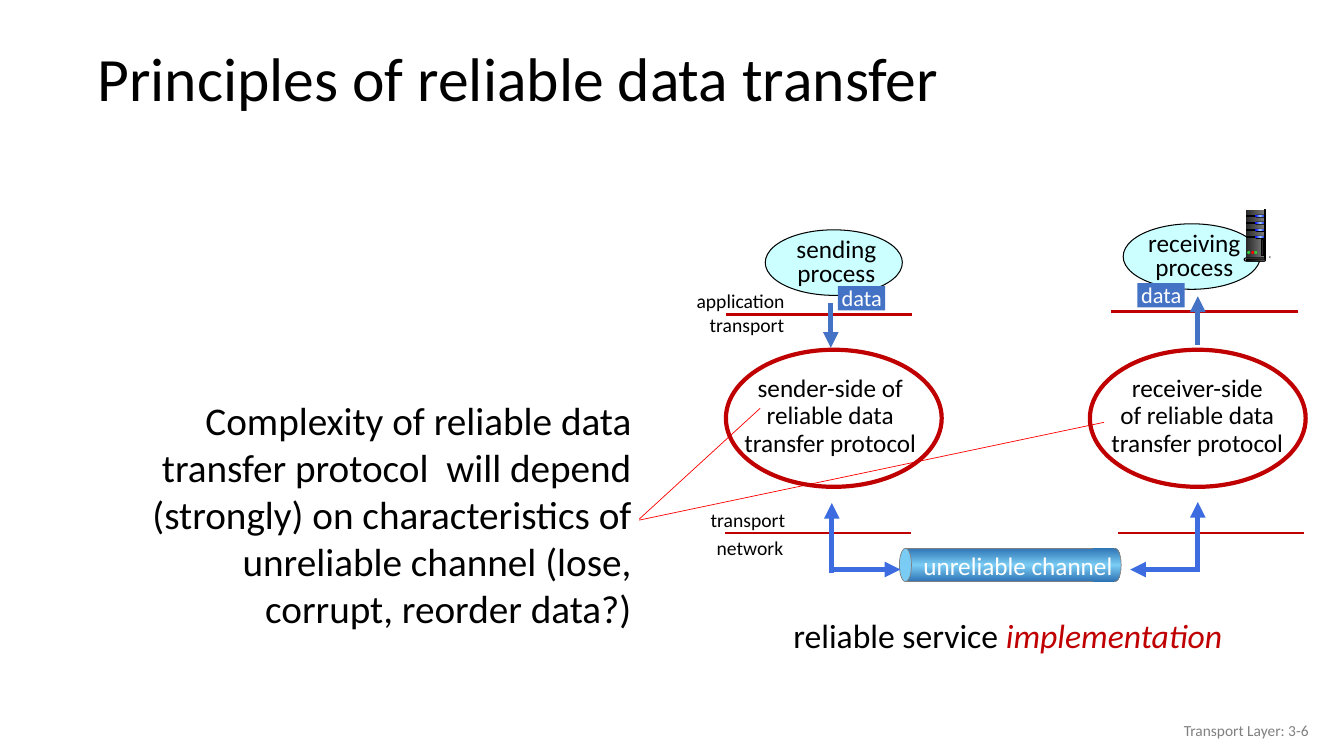
"""Build the slide on principles of reliable data transfer."""
from copy import deepcopy

from lxml import etree
from pptx import Presentation
from pptx import util as u
from pptx.dml.color import RGBColor
from pptx.enum import shapes, text
from pptx.oxml import ns

BLACK = RGBColor(0x00, 0x00, 0x00)
WHITE = RGBColor(0xFF, 0xFF, 0xFF)
CYAN = RGBColor(0xCC, 0xFF, 0xFF)
BLUE = RGBColor(0x44, 0x72, 0xC4)
ARROW_BLUE = RGBColor(0x3C, 0x6C, 0xDF)
NAVY = RGBColor(0x00, 0x00, 0x99)
CRIMSON = RGBColor(0xC0, 0x00, 0x00)
RED = RGBColor(0xFF, 0x00, 0x00)
GREEN = RGBColor(0x33, 0xCC, 0x33)
PIPE_DARK = RGBColor(0x2E, 0x75, 0xB6)
PIPE_LIGHT = RGBColor(0x7A, 0xCC, 0xF4)
GRAY = RGBColor(0x80, 0x80, 0x80)
SILVER = RGBColor(0xDD, 0xDD, 0xDD)
PALE = RGBColor(0xF8, 0xF8, 0xF8)
CHARCOAL = RGBColor(0x33, 0x33, 0x33)
COAL = RGBColor(0x29, 0x29, 0x29)
LIGHT_BLUE = RGBColor(0x00, 0x00, 0xFF)
GLOW = RGBColor(0x99, 0xCC, 0xFF)

OVAL = shapes.MSO_SHAPE.OVAL
RECTANGLE = shapes.MSO_SHAPE.RECTANGLE
ROUNDED = shapes.MSO_SHAPE.ROUNDED_RECTANGLE
LEFT, CENTER, RIGHT = text.PP_ALIGN.LEFT, text.PP_ALIGN.CENTER, text.PP_ALIGN.RIGHT

presentation = Presentation()
presentation.slide_width = u.Inches(13.33)
presentation.slide_height = u.Inches(7.5)
slide = presentation.slides.add_slide(presentation.slide_layouts[6])


def add_figure(outline, geometry, fill=None, line=None, width=0.75, angle=0):
    """Add a preset shape, or a polygon when outline is None; a list of fills is a gradient."""
    if outline is None:
        builder = slide.shapes.build_freeform(*geometry[0], scale=u.Inches(1))
        builder.add_line_segments(geometry[1:], close=True)
        shape = builder.convert_to_shape()
    else:
        shape = slide.shapes.add_shape(outline, *map(u.Inches, geometry))
    if outline == ROUNDED:
        shape.adjustments[0] = 0.5
    shape.shadow.inherit = False
    if fill is None:
        shape.fill.background()
    elif isinstance(fill, list):
        shape.fill.gradient()
        shape.fill.gradient_angle = angle
        stop_list = shape._element.spPr.find(".//" + ns.qn("a:gsLst"))
        if len(fill) == 3:
            stop_list.append(deepcopy(stop_list[0]))
        for index, (stop, color) in enumerate(zip(shape.fill.gradient_stops, fill)):
            stop.color.rgb = color
            stop.position = index / (len(fill) - 1)
    else:
        shape.fill.solid()
        shape.fill.fore_color.rgb = fill
    if line is None:
        shape.line.fill.background()
    else:
        shape.line.color.rgb = line
        shape.line.width = u.Pt(width)


def add_text(box, lines, size, color=BLACK, align=LEFT, spacing=1.0, wrap=True, middle=False):
    """Add a text box with one paragraph per line and return its last paragraph."""
    frame = slide.shapes.add_textbox(*map(u.Inches, box)).text_frame
    frame.word_wrap = wrap
    if middle:
        frame.vertical_anchor = text.MSO_ANCHOR.MIDDLE
    for index, line in enumerate(lines):
        paragraph = frame.add_paragraph() if index else frame.paragraphs[0]
        paragraph.text = line
        paragraph.alignment = align
        paragraph.line_spacing = spacing
        paragraph.font.name = "Calibri"
        paragraph.font.size = u.Pt(size)
        paragraph.font.color.rgb = color
    return paragraph


add_text((0.87, 0.32, 12.14, 0.98), ["Principles of reliable data transfer"], 44,
         spacing=0.9, middle=True)

for left, top, process, data_left, data_top in [
    (7.59, 2.28, "sending process", 8.31, 2.84),
    (11.14, 2.22, "receiving process", 11.28, 2.81),
]:
    add_figure(OVAL, (left, top, 1.36, 0.65), CYAN, BLACK)
    add_text((left + 0.1, top + 0.04, 1.21, 0.59), [process], 18, align=CENTER, spacing=0.8)
    add_figure(RECTANGLE, (data_left, data_top, 0.47, 0.24), BLUE)
    add_text((data_left - 0.06, data_top - 0.07, 0.63, 0.37), ["data"], 16, WHITE)

add_figure(None, [(7.85, 2.2), (7.6, 2.21), (7.56, 2.4), (7.78, 2.46)], [NAVY, WHITE], angle=315)

add_figure(None, [(12.55, 2.08), (12.59, 2.14), (12.59, 2.55), (12.54, 2.57)], [SILVER, CHARCOAL])
add_figure(RECTANGLE, (12.36, 2.08, 0.19, 0.49), [COAL, GRAY])
add_figure(None, [(12.55, 2.11), (12.58, 2.15), (12.56, 2.4), (12.55, 2.55)], [GRAY, PALE])
for row in range(4):
    slot_top = 2.13 + 0.07 * row
    add_figure(RECTANGLE, (12.36, slot_top + 0.01, 0.11, 0.01), BLACK, BLACK)
    add_figure(ROUNDED, (12.45, slot_top, 0.1, 0.03), BLACK)
    add_figure(ROUNDED, (12.45, slot_top, 0.1, 0.02), [LIGHT_BLUE, GLOW, LIGHT_BLUE])
    add_figure(None, [(12.55, slot_top), (12.59, slot_top + 0.03),
                      (12.59, slot_top + 0.05), (12.55, slot_top + 0.02)], [COAL, GRAY])
add_figure(RECTANGLE, (12.54, 2.08, 0.01, 0.49), [CHARCOAL, SILVER, CHARCOAL], BLACK)
add_figure(OVAL, (12.59, 2.54, 0.01, 0.02), CHARCOAL)
add_figure(None, [(12.55, 2.56), (12.55, 2.59), (12.59, 2.56), (12.59, 2.54)], CHARCOAL)
add_figure(ROUNDED, (12.34, 2.56, 0.21, 0.03), SILVER, BLACK)
add_figure(ROUNDED, (12.36, 2.57, 0.19, 0.02), [BLACK, GRAY], BLACK)
for lamp_left, lamp_color in [(12.37, GREEN), (12.41, RED), (12.44, GREEN)]:
    add_figure(OVAL, (lamp_left, 2.49, 0.03, 0.03), lamp_color)
add_figure(RECTANGLE, (12.51, 2.38, 0.02, 0.16), COAL, BLACK)

pipe = [PIPE_DARK, PIPE_LIGHT, PIPE_DARK]
add_figure(RECTANGLE, (8.98, 5.44, 2.07, 0.33), pipe, GRAY, 0.5, 90)
add_figure(OVAL, (8.92, 5.44, 0.12, 0.33), PIPE_LIGHT, GRAY, 0.5)
add_figure(OVAL, (11, 5.44, 0.12, 0.33), pipe, GRAY, 0.5, 90)
add_figure(RECTANGLE, (10.84, 5.44, 0.21, 0.33), pipe, angle=90)
add_text((9.06, 5.41, 2.1, 0.4), ["unreliable channel"], 18, WHITE, wrap=False)

for left, top, width, layer in [
    (6.81, 2.82, 1.09, "application"),
    (6.94, 3.06, 0.95, "transport"),
    (6.95, 4.99, 0.95, "transport"),
    (7.01, 5.27, 0.87, "network"),
]:
    add_text((left, top, width, 0.34), [layer], 14, wrap=False)

caption = add_text((7.77, 6.05, 5.09, 0.5), ["reliable service "], 24)
emphasis = caption.add_run()
emphasis.text = "implementation"
emphasis.font.italic = True
emphasis.font.color.rgb = CRIMSON

for left, lines in [
    (7.2, ["sender-side of", "reliable data transfer protocol"]),
    (10.84, ["receiver-side", "of reliable data transfer protocol"]),
]:
    add_text((left, 3.68, 2.07, 0.92), lines, 18, align=CENTER, spacing=0.9)

add_text((1.09, 3.88, 5.27, 2.46),
         ["Complexity of reliable data transfer protocol  will depend (strongly) on "
          "characteristics of unreliable channel (lose, corrupt, reorder data?)"],
         28, align=RIGHT)

for start_x, start_y, end_x, end_y, color, width, has_arrow in [
    (7.2, 3.12, 9.05, 3.12, CRIMSON, 1.75, False),
    (11.02, 3.09, 12.87, 3.09, CRIMSON, 1.75, False),
    (7.19, 5.29, 9.04, 5.29, CRIMSON, 1.75, False),
    (11.09, 5.29, 12.93, 5.29, CRIMSON, 1.75, False),
    (8.24, 3.01, 8.24, 3.45, BLUE, 3.75, True),
    (11.88, 3.42, 11.88, 2.94, BLUE, 3.75, True),
    (8.25, 5.68, 8.25, 4.99, ARROW_BLUE, 3.75, True),
    (8.24, 5.65, 8.93, 5.65, ARROW_BLUE, 3.75, True),
    (11.9, 5.65, 11.21, 5.65, ARROW_BLUE, 3.75, True),
    (11.88, 5.67, 11.88, 4.98, ARROW_BLUE, 3.75, True),
    (7.54, 4.05, 6.34, 5.15, RED, 0.5, False),
    (10.95, 4.19, 6.34, 5.16, RED, 0.5, False),
]:
    connector = slide.shapes.add_connector(
        shapes.MSO_CONNECTOR.STRAIGHT, *map(u.Inches, (start_x, start_y, end_x, end_y)))
    connector.line.color.rgb = color
    connector.line.width = u.Pt(width)
    properties = connector._element.spPr
    if has_arrow:
        etree.SubElement(properties.find(ns.qn("a:ln")), ns.qn("a:tailEnd"), type="triangle")
    etree.SubElement(properties, ns.qn("a:effectLst"))

for left in (7.2, 10.81):
    add_figure(OVAL, (left, 3.47, 2.14, 1.36), line=CRIMSON, width=3)

add_text((10.08, 7.05, 3, 0.4), ["Transport Layer: 3-6"], 11, GRAY, RIGHT, middle=True)

presentation.save("out.pptx")
